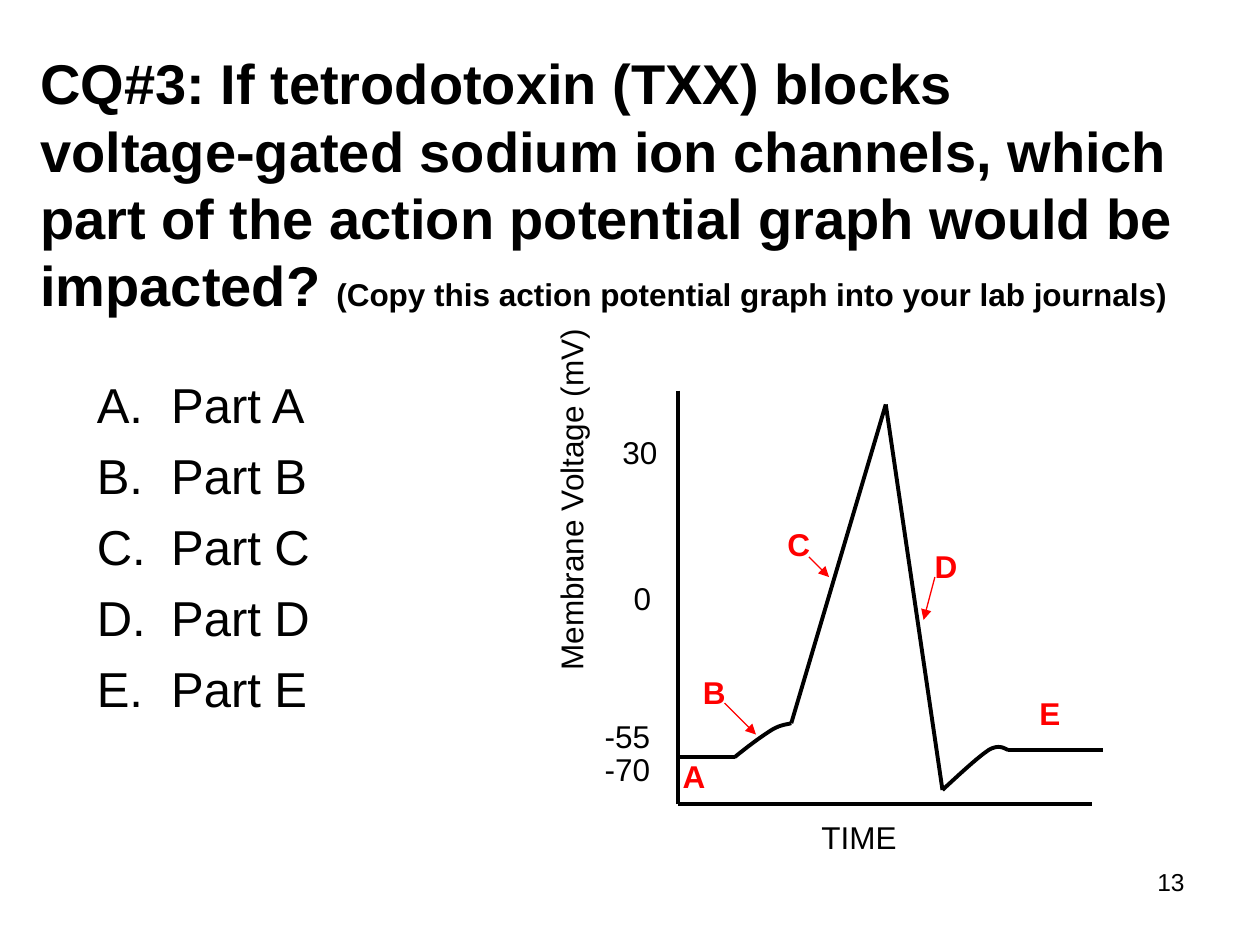
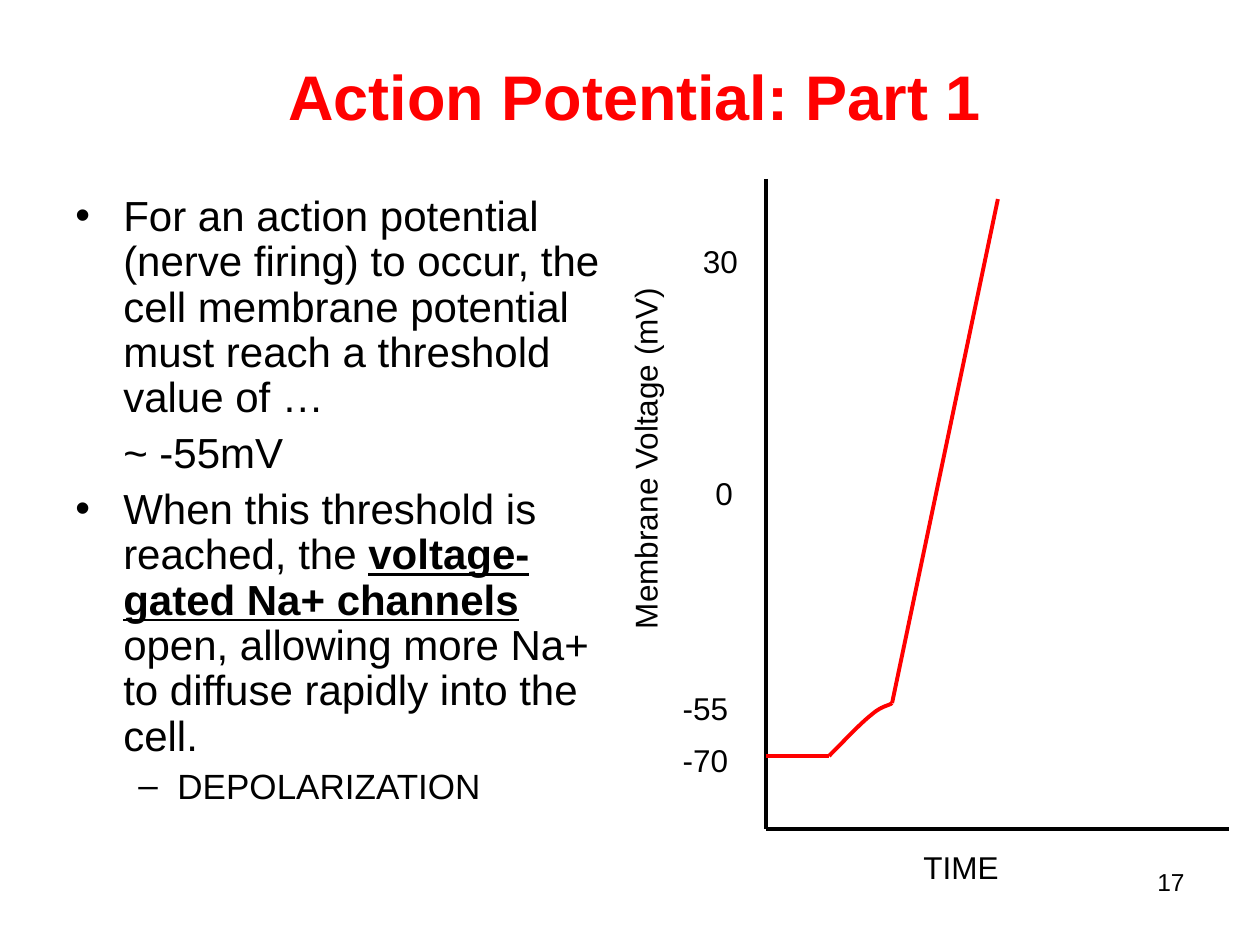
from lxml import etree
from pptx import Presentation
from pptx import util as u
from pptx.dml.color import RGBColor
from pptx.enum import shapes, text
from pptx.oxml.ns import qn

COLORS = {"ink": "000000", "accent": "FF0000"}
ALIGN = {"l": text.PP_ALIGN.LEFT, "c": text.PP_ALIGN.CENTER, "r": text.PP_ALIGN.RIGHT}
AXIS_NAMES = ("TIME", "Membrane Voltage (mV)")
LABEL_WIDTHS = {"-70": 0.56, "-55": 0.56, "0": 0.34, "30": 0.48}
LABEL_HEIGHT = 0.4


class Deck:
    """Builds slides that share one style for titles, text and graph lines."""

    def __init__(self):
        self.prs = Presentation()
        self.prs.slide_width, self.prs.slide_height = u.Inches(10), u.Inches(7.5)
        self.s = None

    def slide(self, number):
        self.s = self.prs.slides.add_slide(self.prs.slide_layouts[5])
        self.box((7.17, 6.83, 2.33, 0.52), [dict(runs=[(str(number), {})], align="r")], size=14)

    def fill_text(self, tf, paras, size, color="ink", bold=False):
        for i, para in enumerate(paras):
            p = tf.paragraphs[0] if i == 0 else tf.add_paragraph()
            fmt = dict(alignment=ALIGN[para.get("align", "l")],
                       line_spacing=para.get("spacing", 1.0),
                       space_before=u.Pt(para.get("before", 0) if i else 0))
            for name, value in fmt.items():
                setattr(p, name, value)
            pPr = p._p.get_or_add_pPr()
            left, indent = para.get("indent", (0, 0))
            pPr.set("marL", str(u.Inches(left)))
            pPr.set("indent", str(u.Inches(indent)))
            if "bullet" in para:
                font = etree.SubElement(pPr, qn("a:buFont"))
                font.set("typeface", "Arial")
                etree.SubElement(pPr, qn("a:buChar")).set("char", para["bullet"])
            for words, extra in para["runs"]:
                r = p.add_run()
                r.text = words
                look = dict(name="Arial", size=u.Pt(para.get("size", size)), bold=bold)
                look.update(extra)
                for name, value in look.items():
                    setattr(r.font, name, value)
                r.font.color.rgb = RGBColor.from_string(COLORS[color])

    def title(self, at, runs, size, color="ink", align="l"):
        sp = self.s.shapes.title
        sp.left, sp.top, sp.width, sp.height = map(u.Inches, at)
        tf = sp.text_frame
        tf.auto_size = text.MSO_AUTO_SIZE.NONE
        tf.vertical_anchor = text.MSO_ANCHOR.MIDDLE
        self.fill_text(tf, [dict(runs=runs, align=align)], size, color, True)

    def box(self, at, paras, size, wrap=True, **look):
        sp = self.s.shapes.add_textbox(*map(u.Inches, at))
        sp.text_frame.word_wrap = wrap
        self.fill_text(sp.text_frame, paras, size, **look)
        return sp

    def label(self, words, left, top, width, **look):
        sp = self.box((left, top, width, LABEL_HEIGHT), [dict(runs=[(words, {})])],
                      18, wrap=False, **look)
        sp.text_frame.auto_size = text.MSO_AUTO_SIZE.SHAPE_TO_FIT_TEXT
        return sp

    def line(self, start, end, color="ink", width=2.25, arrow=False):
        c = self.s.shapes.add_connector(shapes.MSO_CONNECTOR.STRAIGHT,
                                        *map(u.Inches, start + end))
        c.line.width = u.Pt(width)
        c.line.color.rgb = RGBColor.from_string(COLORS[color])
        if arrow:
            etree.SubElement(c.line._get_or_add_ln(), qn("a:tailEnd")).set("type", "triangle")
        etree.SubElement(c._element.spPr, qn("a:effectLst"))

    def curve(self, start, *beziers, color="ink", steps=12):
        points, p0 = [], start
        for p1, p2, p3 in beziers:
            for i in range(1, steps + 1):
                t = i / steps
                v = 1 - t
                points.append(tuple(
                    u.Inches(v**3 * a + 3 * v * v * t * b + 3 * v * t * t * c + t**3 * d)
                    for a, b, c, d in zip(p0, p1, p2, p3)))
            p0 = p3
        fb = self.s.shapes.build_freeform(*map(u.Inches, start))
        fb.add_line_segments(points, close=False)
        sp = fb.convert_to_shape()
        sp.shadow.inherit = False
        sp.fill.background()
        sp.line.width = u.Pt(2.25)
        sp.line.color.rgb = RGBColor.from_string(COLORS[color])

    def axes(self, origin, top, right, time_at, voltage_at, ticks):
        self.line((origin[0], top), origin)
        self.line(origin, (right, origin[1]))
        self.label(AXIS_NAMES[0], *time_at, 0.82)
        self.label(AXIS_NAMES[1], *voltage_at, 2.92).rotation = 270
        for value, at in ticks.items():
            self.label(value, *at, LABEL_WIDTHS[value])


def question_slide(deck):
    deck.slide(13)
    deck.title((0.22, 0.33, 9.25, 2.25), [
        ("CQ#3: If tetrodotoxin (TXX) blocks voltage-gated sodium ion channels, "
         "which part of the action potential graph would be impacted? ", {}),
        ("(Copy this action potential graph into your lab journals)", {"size": u.Pt(18)})], 32)
    deck.box((0.67, 2.92, 4.25, 3.75),
             [dict(runs=[(f"{part}.\tPart {part}", {})], indent=(0.59, -0.59), before=7)
              for part in "ABCDE"], 28)
    deck.axes((5.38, 6.38), 3.1, 8.67, (6.42, 6.44), (3.07, 3.76),
              {"-70": (4.7, 5.9), "-55": (4.7, 5.64), "0": (4.93, 4.55), "30": (4.84, 3.39)})

    rest, threshold, peak, dip, recovered = (
        (5.83, 6.01), (6.28, 5.74), (7.03, 3.21), (7.48, 6.27), (8, 5.95))
    deck.line((5.38, 6.01), rest)
    deck.curve(rest, ((5.94, 5.92), (6.05, 5.84), (6.13, 5.79)),
               ((6.2, 5.75), (6.25, 5.75), threshold))
    deck.line(threshold, peak)
    deck.line(peak, dip)
    deck.curve(dip, ((7.62, 6.14), (7.76, 6.01), (7.85, 5.95)),
               ((7.94, 5.9), (7.98, 5.95), recovered))
    deck.line(recovered, (8.75, 5.95))

    parts = {"A": (5.32, 5.96), "B": (5.48, 5.29), "C": (6.15, 4.12),
             "D": (7.32, 4.29), "E": (8.15, 5.46)}
    for part, at in parts.items():
        deck.label(part, *at, 0.38, color="accent", bold=True)
    for start, end in (((5.75, 5.58), (6, 5.83)), ((6.42, 4.42), (6.58, 4.58)),
                       ((7.42, 4.58), (7.33, 4.92))):
        deck.line(start, end, "accent", 0.75, arrow=True)


def part_one_slide(deck):
    deck.slide(17)
    deck.title((0.58, 0.42, 8.92, 0.67), [("Action Potential: Part 1", {})], 36, "accent", "c")
    main = dict(spacing=0.9, before=6, indent=(0.38, -0.38), bullet="•")
    deck.box((0.5, 1.5, 4.42, 5.2), [
        dict(main, runs=[("For an action potential (nerve firing) to occur, the cell membrane "
                          "potential must reach a threshold value of …", {})]),
        dict(spacing=0.9, before=6, indent=(0.38, 0), runs=[("~ -55mV", {})]),
        dict(main, runs=[
            ("When this threshold is reached, the ", {}),
            ("voltage-gated Na+ channels", {"bold": True, "underline": True}),
            (" open, allowing more Na+ to diffuse rapidly into the cell.", {})]),
        dict(main, before=5, indent=(0.81, -0.31), bullet="–", size=20,
             runs=[("DEPOLARIZATION", {})])], 24)
    deck.axes((6.08, 6.58), 1.42, 9.75, (7.23, 6.68), (3.66, 3.43),
              {"-70": (5.32, 5.83), "-55": (5.32, 5.42), "0": (5.58, 3.71), "30": (5.48, 1.87)})

    rest, threshold = (6.58, 6), (7.08, 5.58)
    deck.line((6.08, 6), rest, "accent")
    deck.curve(rest, ((6.71, 5.87), (6.83, 5.74), (6.92, 5.67)),
               ((7, 5.6), (7.06, 5.6), threshold), color="accent")
    deck.line(threshold, (7.92, 1.58), "accent")


def main():
    deck = Deck()
    question_slide(deck)
    part_one_slide(deck)
    deck.prs.save("out.pptx")


if __name__ == "__main__":
    main()
